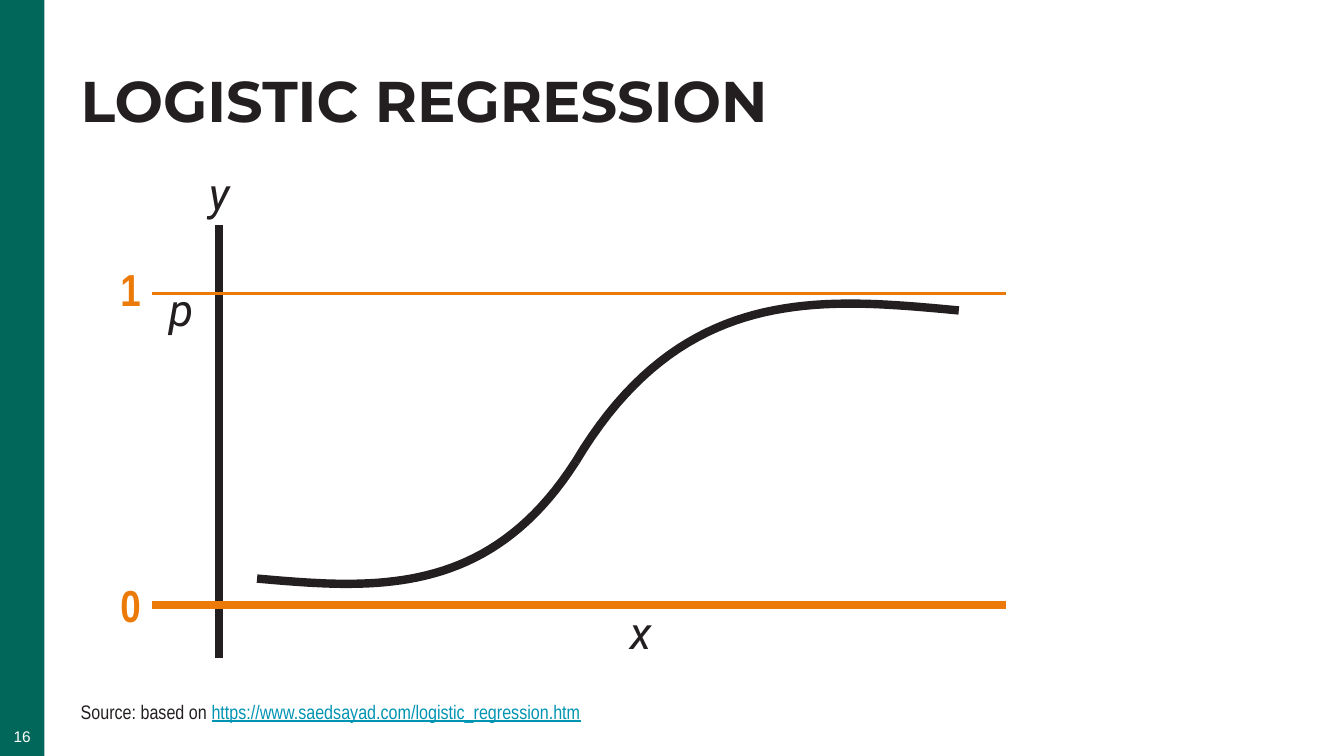
from pptx import Presentation
from pptx import util as u
from pptx.dml import color
from pptx.enum import shapes, text
from pptx.oxml import ns
from lxml import etree

SCALE = u.Inches(0.01)
DARK, GREEN, AMBER, BLUE, WHITE = "231F20", "00675A", "EC7A08", "0094B3", "FFFFFF"
STEPS = 40
LEFT, TOP = text.PP_ALIGN.LEFT, text.MSO_ANCHOR.TOP
MID, CENTER = text.PP_ALIGN.CENTER, text.MSO_ANCHOR.MIDDLE
BOTTOM = text.MSO_ANCHOR.BOTTOM


def emu(*nums):
    return [u.Emu(round(num * SCALE)) for num in nums]


def rgb(code):
    return color.RGBColor.from_string(code)


def style(font, form):
    for name, value in form.items():
        if name == "color":
            font.color.rgb = rgb(value)
        else:
            setattr(font, name, value)


def face(name, size, code, **more):
    return {"name": name, "size": u.Pt(size), "color": code, **more}


def fill_box(shape, runs, align, anchor, space=None, inset=0):
    frame = shape.text_frame
    form = {"word_wrap": True, "vertical_anchor": anchor,
            "auto_size": text.MSO_AUTO_SIZE.NONE}
    if inset is not None:
        for side in ("left", "top", "right", "bottom"):
            form["margin_" + side] = inset
    else:
        form["auto_size"] = text.MSO_AUTO_SIZE.SHAPE_TO_FIT_TEXT
    for name, value in form.items():
        setattr(frame, name, value)
    para = frame.paragraphs[0]
    para.alignment = align
    if space:
        para.line_spacing = u.Pt(space)
    for words, form in runs:
        run = para.add_run()
        run.text = words
        style(run.font, form)


def add_text(slide, box, *rest, **more):
    fill_box(slide.shapes.add_textbox(*emu(*box)), *rest, **more)


def add_title(slide, box, words):
    title = slide.shapes.title
    title.left, title.top, title.width, title.height = emu(*box)
    form = face("Montserrat", 41, DARK, bold=True)
    fill_box(title, [(words, form)], LEFT, TOP, space=48)


def add_band(slide, box, code):
    band = slide.shapes.add_shape(shapes.MSO_SHAPE.RECTANGLE, *emu(*box))
    band.shadow.inherit = False
    band.fill.solid()
    band.fill.fore_color.rgb = rgb(code)
    band.line.fill.background()


def ink(line, code, width):
    line.color.rgb = rgb(code)
    line.width = u.Pt(width)


def add_line(slide, ends, code, width):
    line = slide.shapes.add_connector(shapes.MSO_CONNECTOR.STRAIGHT, *emu(*ends))
    ink(line.line, code, width)
    etree.SubElement(line._element.spPr, ns.qn("a:effectLst"))


def bezier(knots, t):
    parts = ((1 - t) ** 3, 3 * t * (1 - t) ** 2, 3 * t * t * (1 - t), t ** 3)
    return [sum(k * p for k, p in zip(axis, parts)) for axis in zip(*knots)]


def add_curve(slide, knots, code, width):
    dots = [emu(*bezier(knots, i / STEPS)) for i in range(STEPS + 1)]
    pen = slide.shapes.build_freeform(*dots[0], scale=1.0)
    pen.add_line_segments(dots[1:], close=False)
    curve = pen.convert_to_shape()
    curve.shadow.inherit = False
    curve.fill.background()
    ink(curve.line, code, width)


def add_label(slide, x, y, words, form):
    add_text(slide, (x, y, 81, 64), [(words, form)], MID, CENTER, inset=None)


def main():
    deck = Presentation()
    deck.slide_width, deck.slide_height = emu(1333, 750)
    slide = deck.slides.add_slide(deck.slide_layouts[5])

    add_band(slide, (0, 0, 44, 750), GREEN)
    add_text(slide, (0, 720, 44, 20), [("16", face("Arial", 11, WHITE))], MID, BOTTOM)
    add_title(slide, (80, 66, 1212, 71), "LOGISTIC REGRESSION")
    source = [
        ("Source: based on ", face("Arial Narrow", 14, DARK)),
        ("https://www.saedsayad.com/logistic_regression.htm",
         face("Arial Narrow", 14, BLUE, underline=True)),
    ]
    add_text(slide, (80, 684, 951, 34), source, LEFT, BOTTOM, space=20)

    add_line(slide, (217, 653, 217, 223), DARK, 6)
    add_line(slide, (151, 291, 998, 291), AMBER, 2.25)
    for knots in (
        ((255, 574), (369, 584), (484, 594), (571, 458)),
        ((951, 308), (813, 295), (676, 282), (571, 458)),
    ):
        add_curve(slide, knots, DARK, 6)
    add_line(slide, (151, 600, 998, 600), AMBER, 6)

    bound = face("Arial Narrow", 32, AMBER, bold=True)
    axis = face("Roboto", 32, DARK, italic=True)
    for x, y, words, form in (
        (89, 254, "1", bound),
        (89, 568, "0", bound),
        (595, 595, "x", axis),
        (177, 159, "y", axis),
        (139, 274, "p", axis),
    ):
        add_label(slide, x, y, words, form)

    deck.save("out.pptx")


if __name__ == "__main__":
    main()
